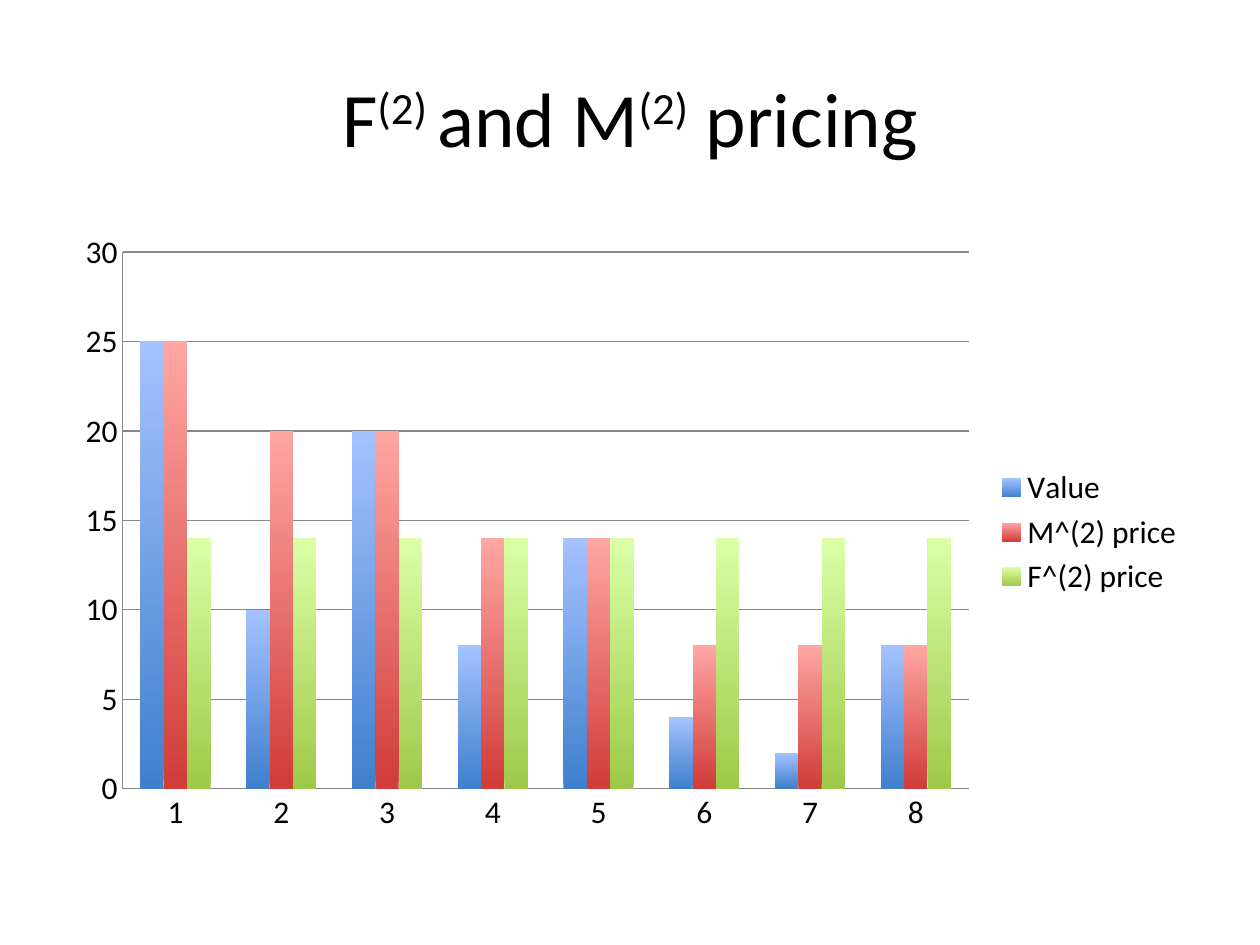
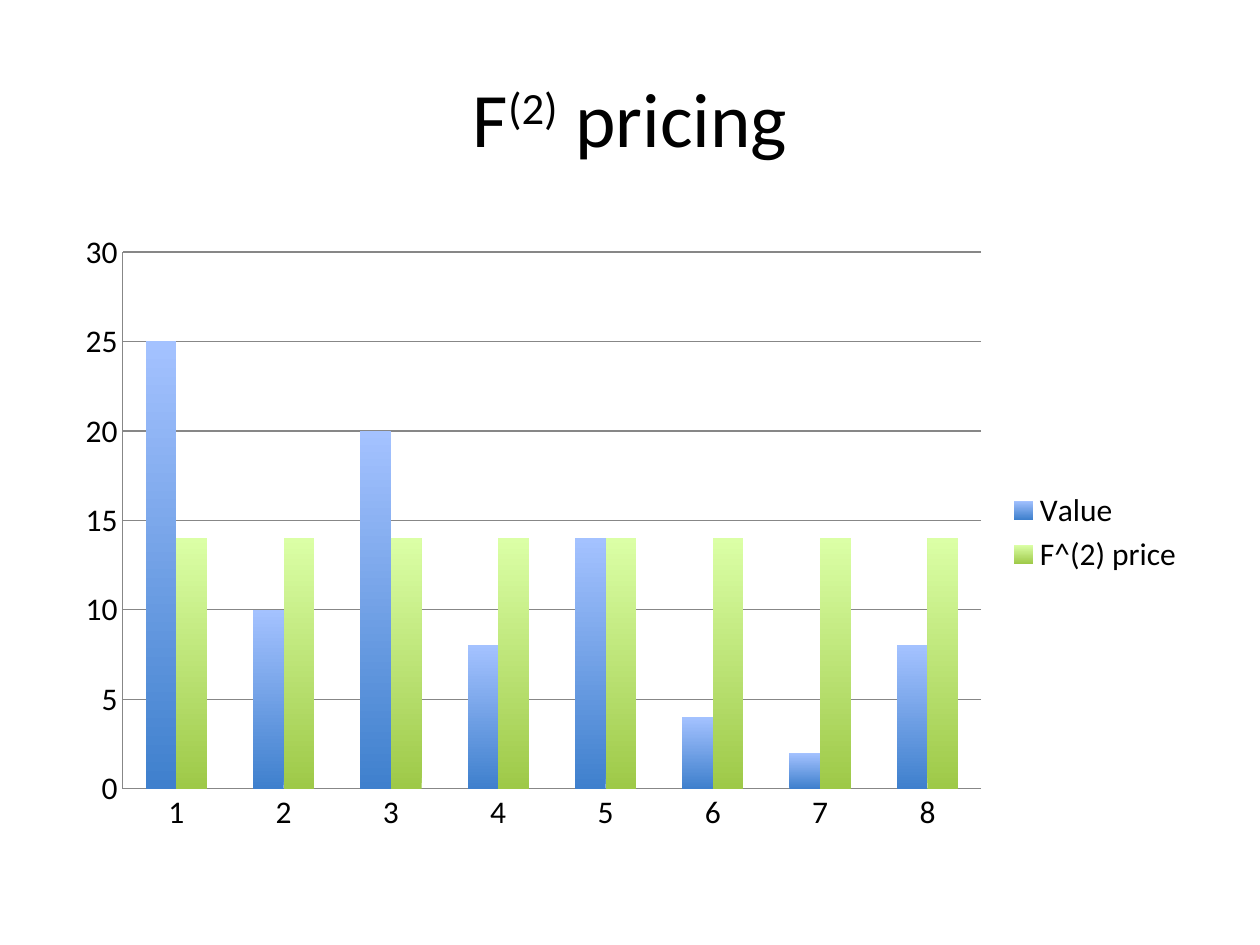
from pptx import Presentation
from pptx.chart.data import CategoryChartData
from pptx.dml.color import RGBColor
from pptx.enum.chart import XL_CHART_TYPE as CT, XL_LEGEND_POSITION as LP, XL_TICK_MARK as TM
from pptx.enum.text import MSO_ANCHOR, PP_ALIGN
from pptx.util import Inches, Pt

FONT = "Calibri"
COLORS = {"text": "000000", "line": "878787"}
GRADIENTS = {
    "Value": ("3F80CD", "A4C2FF"),
    "M^(2) price": ("D03C38", "FFA6A3"),
    "F^(2) price": ("9EC948", "DBFFA6"),
}
BIDDERS = [str(n) for n in range(1, 9)]
SERIES = {
    "Value": (25, 10, 20, 8, 14, 4, 2, 8),
    "M^(2) price": (25, 20, 20, 14, 14, 8, 8, 8),
    "F^(2) price": (14,) * 8,
}
SLIDES = [
    {
        "title": [("F", False), ("(2) ", True), ("and M", False), ("(2)", True), (" pricing", False)],
        "series": ["Value", "M^(2) price", "F^(2) price"],
    },
    {
        "title": [("F", False), ("(2)", True), (" pricing", False)],
        "series": ["Value", "F^(2) price"],
    },
]
TITLE_BOX = [Inches(v) for v in (0.5, 0.3, 9, 1.25)]
CHART_BOX = [Inches(v) for v in (0.5, 1.75, 9, 4.95)]


def rgb(name):
    return RGBColor.from_string(COLORS.get(name, name))


def style_font(font, size):
    font.name, font.size = FONT, Pt(size)
    font.color.rgb = rgb("text")


def style_line(line):
    line.color.rgb = rgb("line")
    line.width = Pt(0.75)


def add_title(s, runs):
    tf = s.shapes.add_textbox(*TITLE_BOX).text_frame
    tf.word_wrap = True
    tf.vertical_anchor = MSO_ANCHOR.MIDDLE
    p = tf.paragraphs[0]
    p.alignment = PP_ALIGN.CENTER
    for text, raised in runs:
        r = p.add_run()
        r.text = text
        style_font(r.font, 44)
        if raised:
            r.font._element.set("baseline", "30000")


def add_price_chart(s, names):
    data = CategoryChartData(number_format="General")
    data.categories = BIDDERS
    for name in names:
        data.add_series(name, SERIES[name])
    chart = s.shapes.add_chart(CT.COLUMN_CLUSTERED, *CHART_BOX, data).chart
    style_font(chart.font, 18)
    chart.has_title = False
    chart.has_legend = True
    chart.legend.position = LP.RIGHT
    chart.legend.include_in_layout = False

    for axis in (chart.category_axis, chart.value_axis):
        axis.major_tick_mark = axis.minor_tick_mark = TM.NONE
        style_line(axis.format.line)
    value_axis = chart.value_axis
    value_axis.minimum_scale, value_axis.maximum_scale = 0, 30
    value_axis.major_unit = 5
    value_axis.has_major_gridlines = True
    style_line(value_axis.major_gridlines.format.line)

    plot = chart.plots[0]
    plot.gap_width = 150
    plot.overlap = 0
    plot.vary_by_categories = False
    for series in plot.series:
        fill = series.format.fill
        fill.gradient()
        fill.gradient_angle = 90
        for stop, color in zip(fill.gradient_stops, GRADIENTS[series.name]):
            stop.color.rgb = rgb(color)


def main():
    prs = Presentation()
    prs.slide_width, prs.slide_height = Inches(10), Inches(7.5)
    for content in SLIDES:
        s = prs.slides.add_slide(prs.slide_layouts[6])
        add_title(s, content["title"])
        add_price_chart(s, content["series"])
    prs.save("out.pptx")


if __name__ == "__main__":
    main()
